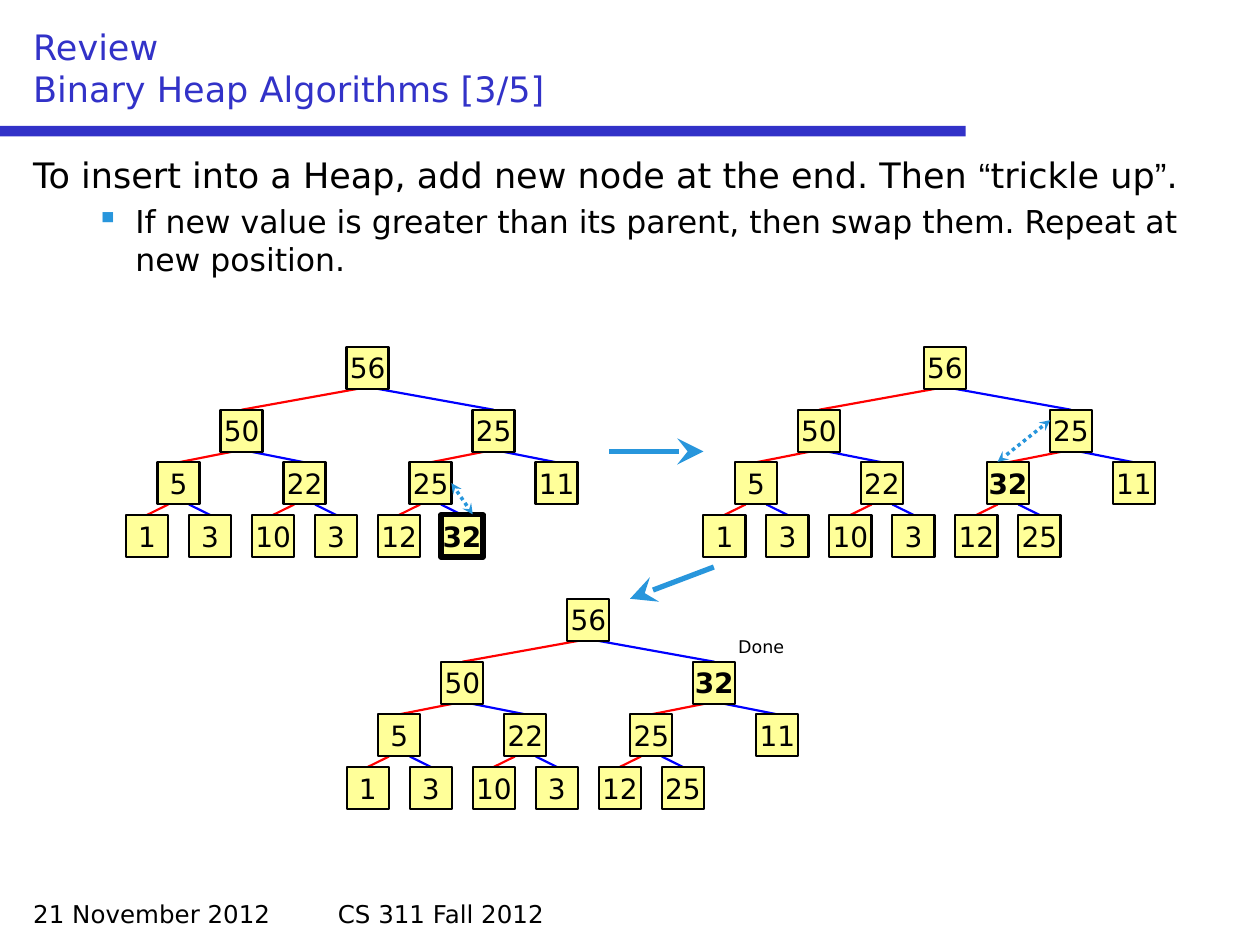
from pptx import Presentation
from pptx.dml.color import RGBColor
from pptx.enum.dml import MSO_LINE
from pptx.enum.shapes import MSO_CONNECTOR, MSO_SHAPE
from pptx.enum.text import MSO_ANCHOR, PP_ALIGN
from pptx.oxml.ns import qn
from pptx.util import Cm, Pt
from lxml.etree import SubElement

INDIGO = RGBColor(0x32, 0x32, 0xC8)
SKY = RGBColor(0x28, 0x96, 0xDC)
YELLOW = RGBColor(0xFF, 0xFF, 0x99)
BLACK = RGBColor(0, 0, 0)
RED = RGBColor(0xFF, 0, 0)
BLUE = RGBColor(0, 0, 0xFF)
FONT = "DejaVu Sans"

presentation = Presentation()
presentation.slide_width = Cm(25.4)
presentation.slide_height = Cm(19.05)
slide = presentation.slides.add_slide(presentation.slide_layouts[6])
shapes = slide.shapes


def add_text(left, top, width, height, text, size, color=BLACK):
    """Add a wrapping text box and return its text frame."""
    frame = shapes.add_textbox(Cm(left), Cm(top), Cm(width), Cm(height)).text_frame
    frame.word_wrap = True
    frame.text = text
    for run in frame.paragraphs[0].runs:
        run.font.size = Pt(size)
        run.font.name = FONT
        run.font.color.rgb = color
    return frame


def add_line(start, end, color, width, ends=(), end_size="med", dash=None):
    """Draw a line; ends lists the tags (headEnd, tailEnd) that get an arrowhead."""
    points = [Cm(value) for value in (*start, *end)]
    connector = shapes.add_connector(MSO_CONNECTOR.STRAIGHT, *points)
    connector.line.color.rgb = color
    connector.line.width = Pt(width)
    if dash:
        connector.line.dash_style = dash
    properties = connector._element.spPr
    for tag in ends:
        SubElement(properties.find(qn("a:ln")), qn(f"a:{tag}"),
                   type="stealth", w=end_size, len=end_size)
    SubElement(properties, qn("a:effectLst"))


# Title, rule and footer
bar = shapes.add_shape(MSO_SHAPE.RECTANGLE, 0, Cm(2.54), Cm(19.47), Cm(0.21))
bar.shadow.inherit = False
bar.fill.solid()
bar.fill.fore_color.rgb = INDIGO
bar.line.fill.background()

title = add_text(0.42, 0.42, 24.55, 1.91, "Review\vBinary Heap Algorithms [3/5]", 20, INDIGO)
title.vertical_anchor = MSO_ANCHOR.BOTTOM
add_text(0.42, 17.99, 5.93, 0.85, "21 November 2012", 14)
add_text(6.56, 17.99, 12.28, 0.85, "CS 311 Fall 2012", 14)

# Explanation
body = add_text(0.42, 2.96, 24.55, 14.82,
                "To insert into a Heap, add new node at the end. Then ", 20)
statement = body.paragraphs[0]
for text, font_name in (("“", "Arial"), ("trickle up", FONT), ("”", "Arial"), (".", FONT)):
    run = statement.add_run()
    run.text = text
    run.font.size = Pt(20)
    run.font.name = font_name
    run.font.color.rgb = BLACK

rule = body.add_paragraph()
rule.text = ("If new value is greater than its parent, then swap them. "
             "Repeat at new position.")
rule.level = 1
rule.space_before = Pt(4)
rule_properties = rule._p.get_or_add_pPr()
rule_properties.set("marL", str(Cm(2.06)))
rule_properties.set("indent", str(Cm(-0.79)))
bullet_color = SubElement(rule_properties, qn("a:buClr"))
SubElement(bullet_color, qn("a:srgbClr"), val=str(SKY))
SubElement(rule_properties, qn("a:buChar"), char="▪")
rule_font = rule.runs[0].font
rule_font.size = Pt(18)
rule_font.name = FONT
rule_font.color.rgb = BLACK

# Heaps: left, top, values in array order, index of the moving node, its outline width
NODE = 0.85
LEVEL_TOPS = (0, 1.27, 2.33, 3.39)
heaps = (
    (2.54, 6.99, (56, 50, 25, 5, 22, 25, 11, 1, 3, 10, 3, 12, 32), 12, 3),
    (14.18, 6.99, (56, 50, 25, 5, 22, 32, 11, 1, 3, 10, 3, 12, 25), 5, 1.25),
    (6.99, 12.07, (56, 50, 32, 5, 22, 25, 11, 1, 3, 10, 3, 12, 25), 2, 1.25),
)
for heap_left, heap_top, values, moving, moving_width in heaps:
    corners = []
    for index in range(len(values)):
        level = (index + 1).bit_length() - 1
        spacing = 10.16 / 2 ** level
        place = index + 1 - 2 ** level
        corners.append((heap_left + (spacing - 1.27) / 2 + place * spacing,
                        heap_top + LEVEL_TOPS[level]))

    for child in range(1, len(values)):
        parent_left, parent_top = corners[(child - 1) // 2]
        child_left, child_top = corners[child]
        is_left = child % 2 == 1
        shift = -0.21 if is_left else 0.21
        add_line((parent_left + NODE / 2 + shift, parent_top + NODE),
                 (child_left + NODE / 2, child_top), RED if is_left else BLUE, 1.25)

    for index, (left, top) in enumerate(corners):
        node = shapes.add_shape(MSO_SHAPE.RECTANGLE, Cm(left), Cm(top), Cm(NODE), Cm(NODE))
        node.shadow.inherit = False
        node.fill.solid()
        node.fill.fore_color.rgb = YELLOW
        node.line.color.rgb = BLACK
        node.line.width = Pt(moving_width if index == moving else 1.25)
        frame = node.text_frame
        frame.text = str(values[index])
        frame.word_wrap = False
        frame.vertical_anchor = MSO_ANCHOR.MIDDLE
        frame.paragraphs[0].alignment = PP_ALIGN.CENTER
        font = frame.paragraphs[0].runs[0].font
        font.size = Pt(16)
        font.name = FONT
        font.color.rgb = BLACK
        if index == moving:
            font.bold = True

# Steps between heaps, and swaps inside them
for start, end in (((12.28, 9.1), (14.18, 9.1)), ((14.39, 11.43), (12.7, 12.07))):
    add_line(start, end, SKY, 3, ("tailEnd",), "lg")
for start, end in (((9.1, 9.74), (9.53, 10.37)), ((21.17, 8.47), (20.11, 9.31))):
    add_line(start, end, SKY, 2, ("headEnd", "tailEnd"), dash=MSO_LINE.ROUND_DOT)

done = add_text(14.39, 12.7, 1.91, 0.69, "Done", 10)
done.paragraphs[0].alignment = PP_ALIGN.CENTER

presentation.save("out.pptx")
